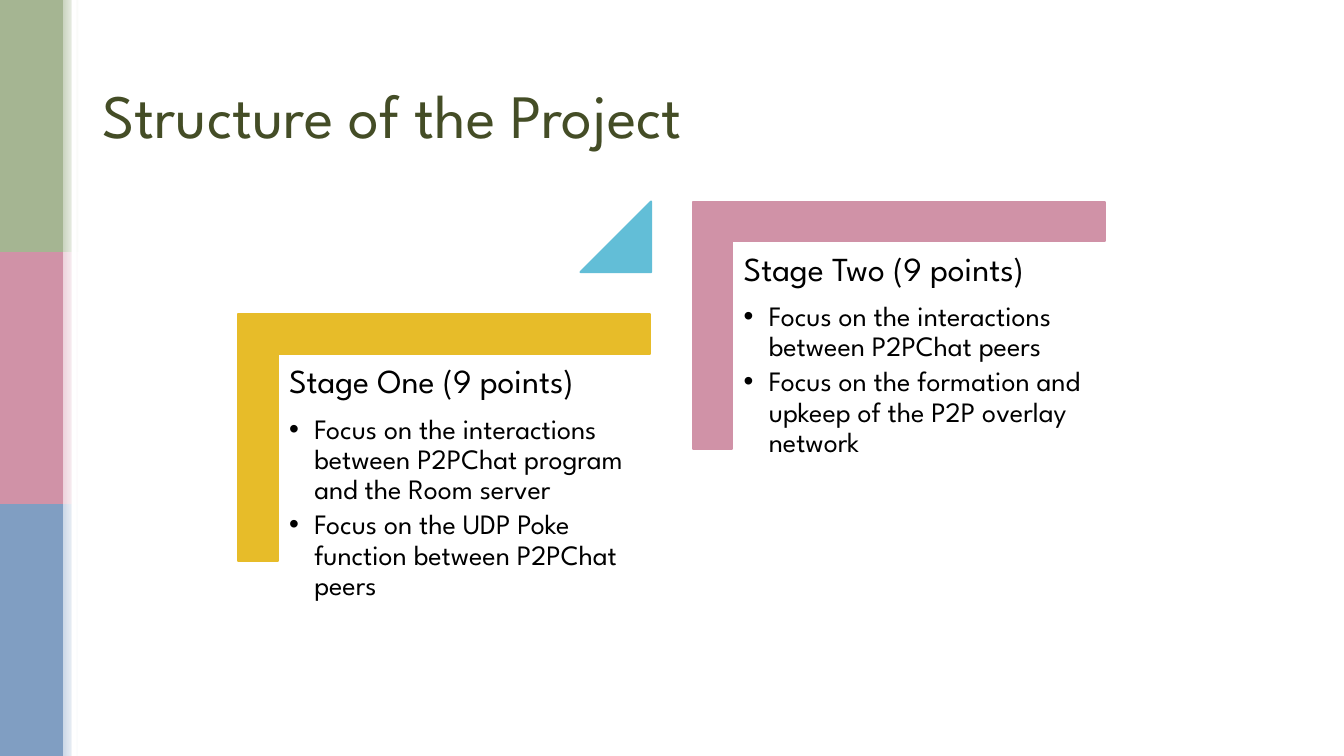
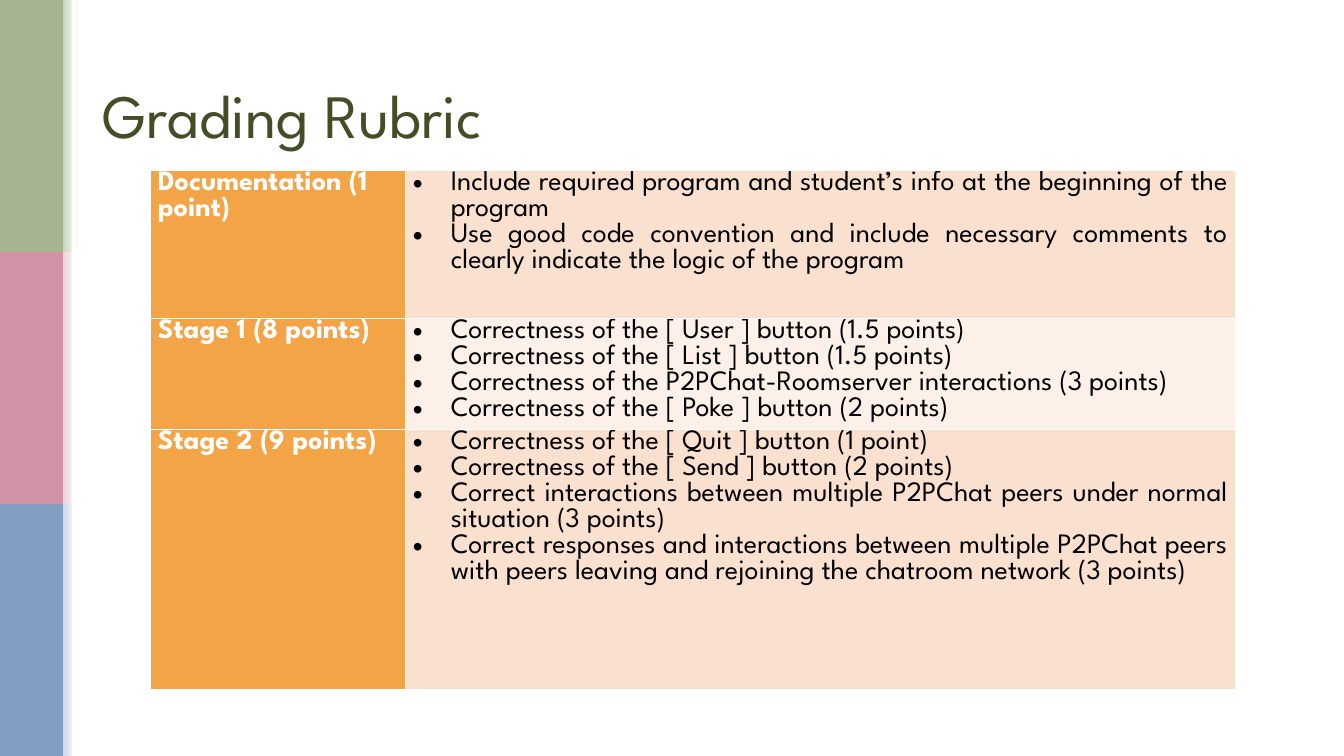
from lxml.etree import SubElement
from pptx import Presentation
from pptx.dml.color import RGBColor
from pptx.enum.shapes import MSO_SHAPE as Kind
from pptx.enum.text import MSO_ANCHOR as Anchor, PP_ALIGN as Align
from pptx.oxml import parse_xml
from pptx.oxml.ns import nsdecls, qn
from pptx.util import Pt

FONT = "League Spartan"
WHITE, BLACK, OLIVE = "FFFFFF", "000000", "444D26"
ROSE, GOLD, TEAL, AMBER = "D092A7", "E7BC29", "62BED7", "F3A447"
BANDS = [("A5B592", "C9D3BE"), (ROSE, "ECD3DC"), ("809EC2", "CCD8E7")]
tint = RGBColor.from_string


def write(frame, lines, size=20, color=BLACK, bold=False, align=Align.LEFT,
          space=None, after=0, indent=0, first=True):
    """Add lines to a text frame; an indent makes them bullets."""
    frame.word_wrap = True
    for i, line in enumerate(lines):
        para = frame.paragraphs[0] if first and i == 0 else frame.add_paragraph()
        para.alignment, para.space_after = align, Pt(after)
        if space:
            para.line_spacing = space
        if indent:
            props = para._p.get_or_add_pPr()
            props.set("marL", str(Pt(indent)))
            props.set("indent", str(-Pt(indent)))
            SubElement(props, qn("a:buFont"), typeface="Arial")
            SubElement(props, qn("a:buChar"), char="•")
        run = para.add_run()
        run.text = line
        font = run.font
        font.name, font.size, font.bold = FONT, Pt(size), bold
        font.color.rgb = tint(color)


def paint(shape, color, fade=None, edge=False):
    """Fill a shape with one colour, or fading from color to fade."""
    shape.shadow.inherit = False
    if fade:
        shape.fill.gradient()
        shape.fill.gradient_angle = 0
        for stop, shade in zip(shape.fill.gradient_stops, (color, fade)):
            stop.color.rgb = tint(shade)
    else:
        shape.fill.solid()
        shape.fill.fore_color.rgb = tint(color)
    if edge:
        shape.line.color.rgb = tint(color)
        shape.line.width = Pt(1.5)
    else:
        shape.line.fill.background()


deck = Presentation()
deck.slide_width, deck.slide_height = Pt(960), Pt(540)

# Shared side bands and title
slides = []
for title in ("Structure of the Project", "Grading Rubric"):
    slide = deck.slides.add_slide(deck.slide_layouts[6])
    strips = [((51.2, 0, 3.6, 540), WHITE, None)]
    for i, (color, pale) in enumerate(BANDS):
        strips.insert(0, ((45, i * 180, 11.5, 180), pale, WHITE))
        strips.insert(0, ((0, i * 180, 45, 180), color, None))
    for box, color, fade in strips:
        paint(slide.shapes.add_shape(Kind.RECTANGLE, *map(Pt, box)), color, fade)
    frame = slide.shapes.add_textbox(*map(Pt, (66, 28.8, 828, 104.4))).text_frame
    frame.vertical_anchor = Anchor.MIDDLE
    write(frame, [title], size=44, color=OLIVE)
    slides.append(slide)
plan, rubric = slides

# Stages as rising steps
STAGES = [
    (GOLD, "Stage One (9 points)", [
        "Focus on the interactions between P2PChat program and the Room server",
        "Focus on the UDP Poke function between P2PChat peers"]),
    (ROSE, "Stage Two (9 points)", [
        "Focus on the interactions between P2PChat peers",
        "Focus on the formation and upkeep of the P2P overlay network"]),
]
WIDE, TALL, THICK = 294.5, 176.4, 28.4
for i, (color, head, points) in enumerate(STAGES):
    left, top = 170 + i * 324.7, 224.6 - i * 80.6
    right, base = left + WIDE, top + TALL
    path = plan.shapes.build_freeform(Pt(left), Pt(top))
    corners = [(right, top), (right, top + THICK), (left + THICK, top + THICK),
               (left + THICK, base), (left, base)]
    path.add_line_segments([(Pt(x), Pt(y)) for x, y in corners])
    paint(path.convert_to_shape(), color, edge=True)
    box = (left + 29.4, top + 28.8, 265.7, 232.6)
    frame = plan.shapes.add_textbox(*map(Pt, box)).text_frame
    frame.margin_left = frame.margin_right = Pt(7.2)
    frame.margin_top = frame.margin_bottom = Pt(7.2)
    write(frame, [head], size=24, space=0.9, after=10)
    write(frame, points, space=0.9, after=3.5, indent=18, first=False)
rise = plan.shapes.add_shape(
    Kind.ISOSCELES_TRIANGLE, *map(Pt, (414.7, 144, 50.4, 50.4)))
rise.adjustments[0] = 1
paint(rise, TEAL, edge=True)

# Rubric table
ROWS = [
    (105.8, "FAE0CF", "Documentation (1 point)", [
        "Include required program and student’s info at the beginning of the program",
        "Use good code convention and include necessary comments to clearly "
        "indicate the logic of the program"]),
    (79.2, "FDF0E9", "Stage 1 (8 points)", [
        "Correctness of the [ User ] button (1.5 points)",
        "Correctness of the [ List ] button (1.5 points)",
        "Correctness of the P2PChat-Roomserver interactions (3 points)",
        "Correctness of the [ Poke ] button (2 points)"]),
    (185.8, "FAE0CF", "Stage 2 (9 points)", [
        "Correctness of the [ Quit ] button (1 point)",
        "Correctness of the [ Send ] button (2 points)",
        "Correct interactions between multiple P2PChat peers under normal "
        "situation (3 points)",
        "Correct responses and interactions between multiple P2PChat peers with "
        "peers leaving and rejoining the chatroom network (3 points)"]),
]
COLS = (182.2, 592.6)
high = sum(row[0] for row in ROWS)
table = rubric.shapes.add_table(
    len(ROWS), len(COLS), Pt(107.6), Pt(121.7), Pt(sum(COLS)), Pt(high)).table
table.first_row = table.horz_banding = False
for col, width in zip(table.columns, COLS):
    col.width = Pt(width)
for row, (height, pale, head, points) in zip(table.rows, ROWS):
    row.height = Pt(height)
    label, detail = row.cells
    write(label.text_frame, [head], color=WHITE, bold=True, space=Pt(18.6))
    write(detail.text_frame, points, align=Align.JUSTIFY, space=Pt(18.6), indent=27)
    for cell, color in ((label, AMBER), (detail, pale)):
        cell.margin_left = cell.margin_right = Pt(5.2)
        cell.margin_top = cell.margin_bottom = 0
        cell.fill.solid()
        cell.fill.fore_color.rgb = tint(color)
        props = cell._tc.get_or_add_tcPr()
        for i, side in enumerate("LRTB"):
            props.insert(i, parse_xml(
                f'<a:ln{side} {nsdecls("a")} w="{Pt(1)}"><a:solidFill>'
                f'<a:srgbClr val="{WHITE}"/></a:solidFill></a:ln{side}>'))

deck.save("out.pptx")
